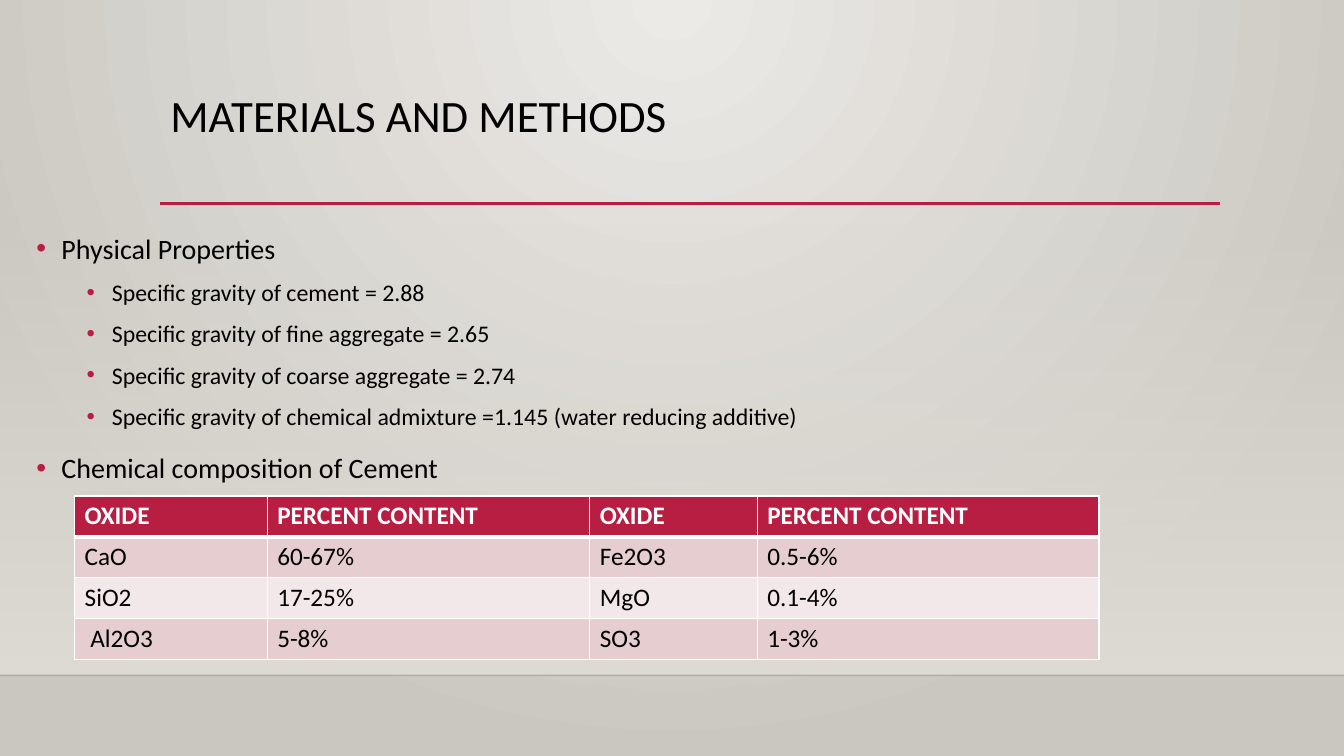
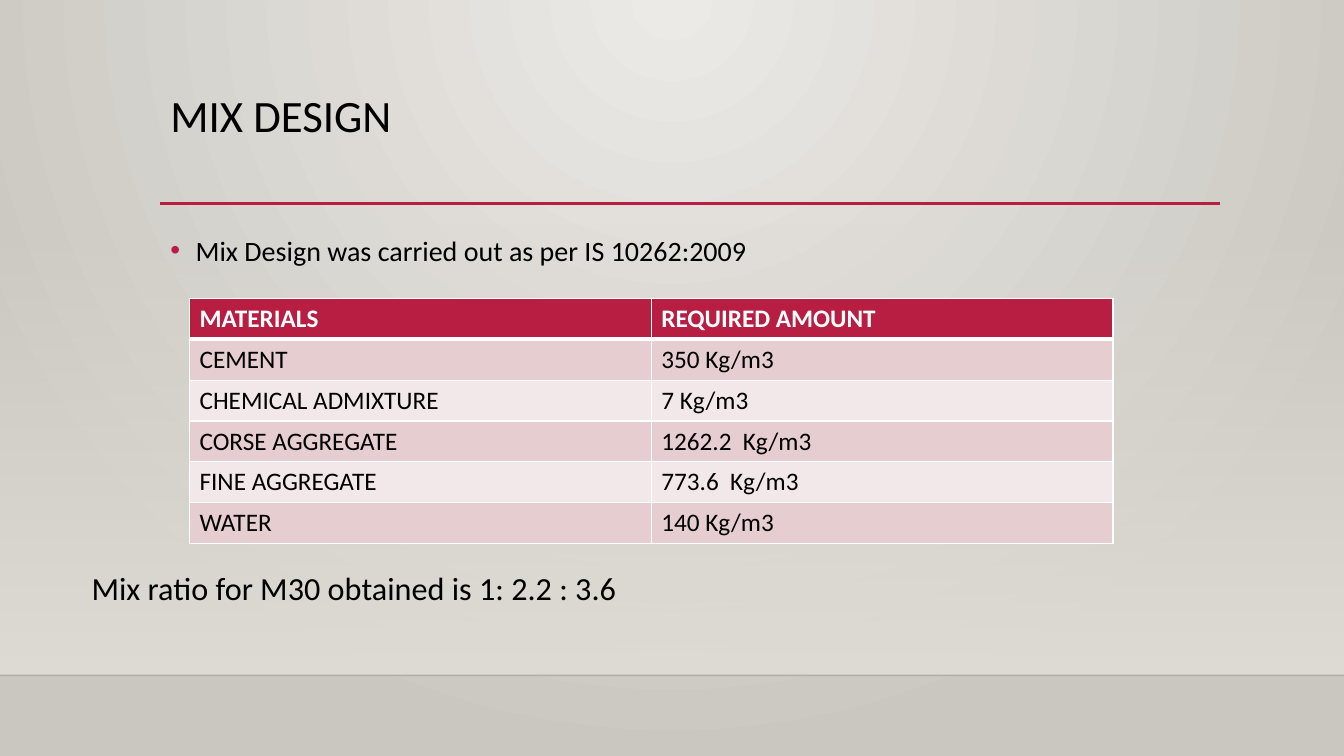
from lxml.etree import SubElement
from pptx import Presentation
from pptx.dml.color import RGBColor
from pptx.enum.shapes import MSO_CONNECTOR, MSO_SHAPE
from pptx.enum.text import MSO_ANCHOR, MSO_AUTO_SIZE, PP_ALIGN
from pptx.oxml import parse_xml
from pptx.oxml.ns import nsdecls, qn
from pptx.util import Inches, Pt

COLORS = {
    "accent": "B71E42", "text": "000000", "white": "FFFFFF",
    "odd_row": "E6CDCF", "even_row": "F3E8E9",
    "glow": "ECEAE7", "edge": "CAC7C1", "haze": "DFDBD5",
}
FONT = "Calibri"
WIDTH, HEIGHT = 13.33, 7.5
FLOOR = 6.7
LEFT, CONTENT_WIDTH = 1.59, 10.5
ROW_HEIGHT = 0.4
RADIAL = '<a:path path="circle"><a:fillToRect l="43000" r="43000" b="100000"/></a:path>'
DOWNWARD = '<a:lin ang="5400000" scaled="0"/>'
LEVELS = [(0.25, 20, 10), (0.75, 17, 5)]


class Deck:
    """Holds the shared style and the slide being built."""

    def __init__(self):
        self.presentation = Presentation()
        self.presentation.slide_width = Inches(WIDTH)
        self.presentation.slide_height = Inches(HEIGHT)
        self.layout = self.presentation.slide_layouts[1]
        self.slide = None
        master = self.presentation.slide_master
        master.background.fill.gradient()
        self.gradient(master.element, [("glow", 100), ("edge", 100)], RADIAL)

    def gradient(self, owner, stops, direction):
        current = owner.find(".//" + qn("a:gradFill"))
        marks = "".join(
            f'<a:gs pos="{place * 100000}"><a:srgbClr val="{COLORS[name]}">'
            f'<a:alpha val="{opacity * 1000}"/></a:srgbClr></a:gs>'
            for place, (name, opacity) in enumerate(stops))
        current.getparent().replace(current, parse_xml(
            f'<a:gradFill {nsdecls("a")} rotWithShape="1"><a:gsLst>{marks}</a:gsLst>'
            f'{direction}</a:gradFill>'))

    def start_slide(self, heading):
        first = self.slide is None
        self.slide = self.presentation.slides.add_slide(self.layout)
        if first:
            self.fill_layout()
        title = self.slide.shapes.title
        self.place(title, LEFT, 0.88, CONTENT_WIDTH, 1.15)
        title.text_frame.text = heading
        title.text_frame.vertical_anchor = MSO_ANCHOR.TOP
        paragraph = title.text_frame.paragraphs[0]
        paragraph.alignment = PP_ALIGN.LEFT
        paragraph.line_spacing = 0.9
        self.style(paragraph, 32)

    def fill_layout(self):
        for footer in list(self.layout.placeholders)[2:]:
            footer.element.getparent().remove(footer.element)
        haze = self.slide.shapes.add_shape(
            MSO_SHAPE.RECTANGLE, 0, Inches(2.21), Inches(WIDTH), Inches(FLOOR - 2.21))
        haze.shadow.inherit = False
        haze.line.fill.background()
        haze.fill.gradient()
        self.gradient(haze.element, [("haze", 0), ("haze", 100)], DOWNWARD)
        horizon = self.rule(0, WIDTH, FLOOR, "text", 1)
        tint = horizon.element.find(".//" + qn("a:srgbClr"))
        SubElement(tint, qn("a:alpha")).set("val", "20000")
        underline = self.rule(LEFT, 12.1, 2.02, "accent", 2.5)
        for index, part in enumerate((haze, horizon, underline), start=2):
            self.layout.element.cSld.spTree.insert(index, part.element)

    def rule(self, start, end, top, color, weight):
        line = self.slide.shapes.add_connector(
            MSO_CONNECTOR.STRAIGHT, Inches(start), Inches(top), Inches(end), Inches(top))
        line.line.color.rgb = RGBColor.from_string(COLORS[color])
        line.line.width = Pt(weight)
        SubElement(line.element.spPr, qn("a:effectLst"))
        return line

    def place(self, shape, left, top, width, height):
        shape.left, shape.top = Inches(left), Inches(top)
        shape.width, shape.height = Inches(width), Inches(height)
        shape.text_frame.word_wrap = True
        shape.text_frame.auto_size = MSO_AUTO_SIZE.NONE

    def style(self, paragraph, size, color="text", bold=False):
        for run in paragraph.runs:
            run.font.name = FONT
            run.font.size = Pt(size)
            run.font.bold = bold
            run.font.color.rgb = RGBColor.from_string(COLORS[color])

    def bullets(self, items, left, top, width, height):
        body = self.slide.placeholders[1]
        self.place(body, left, top, width, height)
        body.text_frame.text = "\n".join(text for _, text in items)
        for index, (level, _) in enumerate(items):
            paragraph = body.text_frame.paragraphs[index]
            indent, size, before = LEVELS[level]
            paragraph.level = level
            properties = paragraph._p.get_or_add_pPr()
            properties.set("marL", str(Inches(indent)))
            properties.set("indent", str(Inches(-0.25)))
            tint = SubElement(properties, qn("a:buClr"))
            SubElement(tint, qn("a:srgbClr")).set("val", COLORS["accent"])
            SubElement(properties, qn("a:buFont")).set("typeface", "Arial")
            SubElement(properties, qn("a:buChar")).set("char", "•")
            paragraph.line_spacing = 1.2
            paragraph.space_before = Pt(before if index else 0)
            self.style(paragraph, size)

    def table(self, rows, left, top, widths):
        table = self.slide.shapes.add_table(
            len(rows), len(widths), Inches(left), Inches(top),
            Inches(sum(widths)), Inches(ROW_HEIGHT * len(rows))).table
        for column, width in zip(table.columns, widths):
            column.width = Inches(width)
        for r, row in enumerate(rows):
            fill = "accent" if r == 0 else "odd_row" if r % 2 else "even_row"
            for c, text in enumerate(row):
                cell = table.cell(r, c)
                cell.text_frame.text = text
                cell.fill.solid()
                cell.fill.fore_color.rgb = RGBColor.from_string(COLORS[fill])
                self.style(cell.text_frame.paragraphs[0], 18,
                           "text" if r else "white", r == 0)
                self.borders(cell, 3 if r == 1 else 1, 1 if r else 3)

    def borders(self, cell, top, bottom):
        properties = cell._tc.get_or_add_tcPr()
        sides = [("lnL", 1), ("lnR", 1), ("lnT", top), ("lnB", bottom)]
        for index, (side, weight) in enumerate(sides):
            properties.insert(index, parse_xml(
                f'<a:{side} {nsdecls("a")} w="{Pt(weight)}"><a:solidFill>'
                f'<a:srgbClr val="{COLORS["white"]}"/></a:solidFill></a:{side}>'))

    def note(self, text, left, top, width, height):
        note = self.slide.shapes.add_textbox(0, 0, 0, 0)
        self.place(note, left, top, width, height)
        note.text_frame.text = text
        self.style(note.text_frame.paragraphs[0], 23)


def main():
    deck = Deck()
    deck.start_slide("MATERIALS AND METHODS")
    deck.bullets([
        (0, "Physical Properties"),
        (1, "Specific gravity of cement = 2.88"),
        (1, "Specific gravity of fine aggregate = 2.65"),
        (1, "Specific gravity of coarse aggregate = 2.74"),
        (1, "Specific gravity of chemical admixture =1.145 (water reducing additive)"),
        (0, "Chemical composition of Cement"),
    ], 0.26, 2.18, 12.88, 2.74)
    deck.table([
        ("OXIDE", "PERCENT CONTENT") * 2,
        ("CaO", "60-67%", "Fe2O3", "0.5-6%"),
        ("SiO2", "17-25%", "MgO", "0.1-4%"),
        (" Al2O3", "5-8%", "SO3", "1-3%"),
    ], 0.74, 4.92, (1.91, 3.2, 1.66, 3.39))

    deck.start_slide("MIX DESIGN")
    deck.bullets([(0, "Mix Design was carried out as per IS 10262:2009")],
                 LEFT, 2.2, CONTENT_WIDTH, 0.7)
    deck.table([
        ("MATERIALS", "REQUIRED AMOUNT"),
        ("CEMENT", "350 Kg/m3"),
        ("CHEMICAL ADMIXTURE", "7 Kg/m3"),
        ("CORSE AGGREGATE", "1262.2  Kg/m3"),
        ("FINE AGGREGATE", "773.6  Kg/m3"),
        ("WATER", "140 Kg/m3"),
    ], 1.88, 2.96, (4.58, 4.58))
    deck.note("Mix ratio for M30 obtained is 1: 2.2 : 3.6", 0.81, 5.59, 6.99, 0.49)
    deck.presentation.save("out.pptx")


if __name__ == "__main__":
    main()
